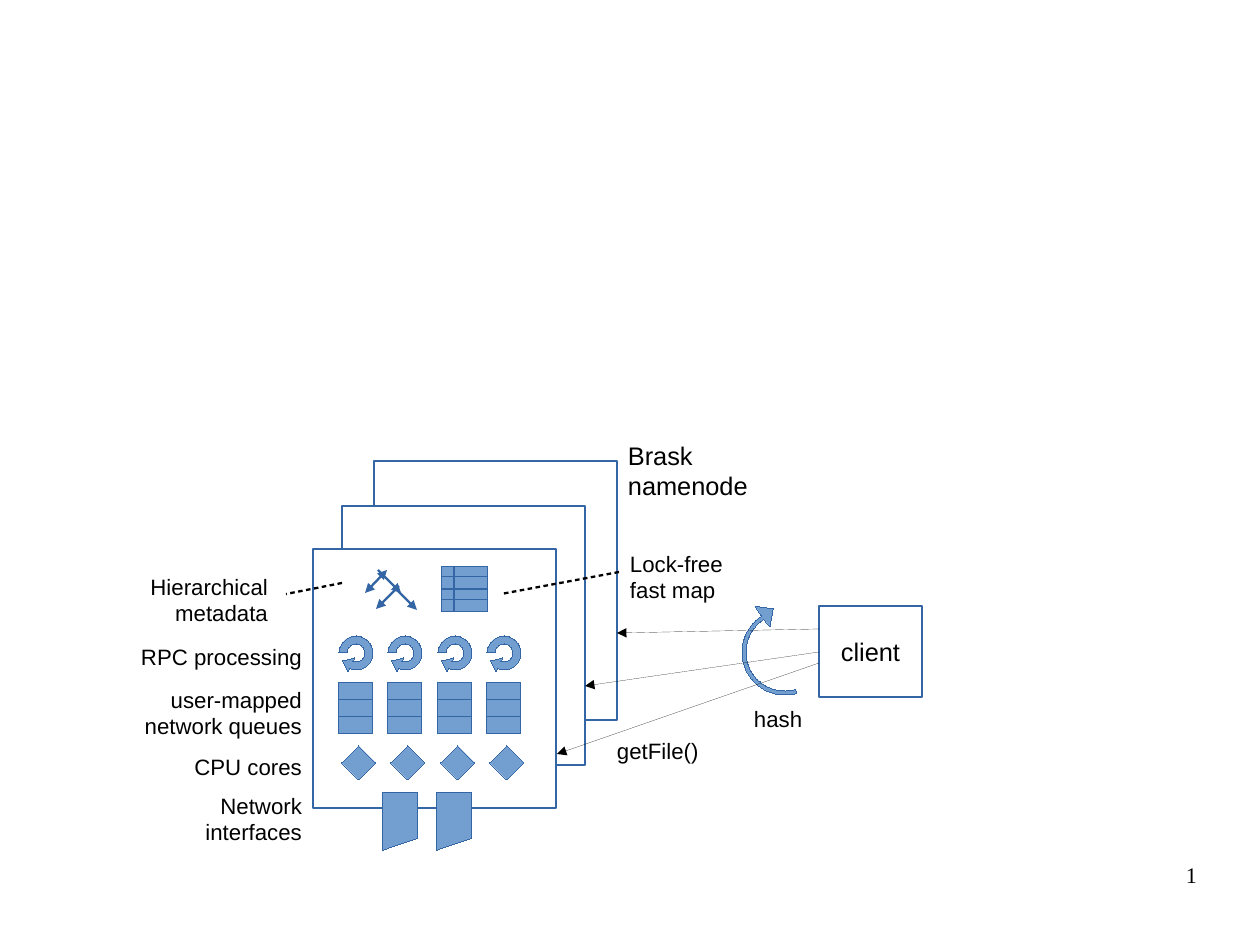
import math
import pptx
import pptx.util
import pptx.dml.color
import pptx.enum.shapes
import pptx.enum.text
import lxml.etree

UNIT = 8000
BLACK = pptx.dml.color.RGBColor(0, 0, 0)
WHITE = pptx.dml.color.RGBColor(255, 255, 255)
NAVY = pptx.dml.color.RGBColor(0x34, 0x65, 0xA4)
BLUE = pptx.dml.color.RGBColor(0x72, 0x9F, 0xCF)
KIND = pptx.enum.shapes.MSO_SHAPE
SIDE = pptx.enum.text.PP_ALIGN
THICK = pptx.util.Pt(1.45)
THIN = 1
name = pptx.oxml.ns.qn

deck = pptx.Presentation()
deck.slide_width = 1260 * UNIT
deck.slide_height = 945 * UNIT
slide = deck.slides.add_slide(deck.slide_layouts[6])
shapes = slide.shapes


def write(text, left, top, width, height, size=14, font="Arial", align=SIDE.LEFT,
          inset=(11, 6), anchor=pptx.enum.text.MSO_ANCHOR.TOP):
    box = shapes.add_textbox(left * UNIT, top * UNIT, width * UNIT, height * UNIT)
    frame = box.text_frame
    frame.word_wrap = True
    frame.vertical_anchor = anchor
    frame.margin_left = frame.margin_right = inset[0] * UNIT
    frame.margin_top = frame.margin_bottom = inset[1] * UNIT
    frame.text = text
    for para in frame.paragraphs:
        para.alignment = align
        para.font.size = pptx.util.Pt(size)
        para.font.name = font
        para.font.color.rgb = BLACK


def paint(shape, fill, width):
    shape.shadow.inherit = False
    shape.fill.solid()
    shape.fill.fore_color.rgb = fill
    shape.line.color.rgb = NAVY
    shape.line.width = width


nodes = [(374, 461, 243, 259), (342, 506, 243, 259), (313, 549, 243, 259)]
client = (819, 606, 103, 91)
parts = [(KIND.RECTANGLE, *spot, WHITE, THICK) for spot in nodes + [client]]
rings = [(785, 652, 39, 43, 74, 237, 2, [(-30, -46), (-12, -43), (-15, -25)])]
for core in range(4):
    left = 339 + 99 * core // 2
    parts.append((KIND.DIAMOND, left + 3, 746, 34, 34, BLUE, THIN))
    for row in range(3):
        parts.append((KIND.RECTANGLE, left, 683 + 17 * row, 34, 17, BLUE, THIN))
    rings.append((left + 17, 653, 9, 17, -180, 113, 4, [(-8, 19), (-13, 8), (-1, 5)]))
for left in (383, 437):
    parts.append((KIND.FLOWCHART_MANUAL_INPUT, left, 793, 34, 57, BLUE, THIN))
for row in range(4):
    parts.append((KIND.RECTANGLE, 442, 566 + 23 * row // 2, 46, 12, BLUE, THIN))

for kind, left, top, width, height, fill, stroke in parts:
    shape = shapes.add_shape(kind, left * UNIT, top * UNIT, width * UNIT, height * UNIT)
    paint(shape, fill, stroke)
    if kind == KIND.FLOWCHART_MANUAL_INPUT:
        shape.rotation = 180

for x, y, inner, outer, start, end, count, head in rings:
    trace = []
    for radius, first, last in [(inner, end, start), (outer, start, end)]:
        step = math.radians(last - first) / count
        reach = 4 / 3 * math.tan(step / 4)
        for turn in range(count + 1):
            angle = math.radians(first) + step * turn
            dx, dy = radius * math.cos(angle), radius * math.sin(angle)
            if turn > 0:
                trace.append((dx + reach * dy, dy - reach * dx))
            trace.append((dx, dy))
            if turn < count:
                trace.append((dx - reach * dy, dy + reach * dx))
    dots = [(100 * (x + dx), 100 * (y + dy)) for dx, dy in trace + head]
    pen = shapes.build_freeform(*dots[0], scale=UNIT / 100)
    pen.add_line_segments(dots[1:], close=True)
    ring = pen.convert_to_shape()
    paint(ring, BLUE, THIN)
    steps = list(ring._element.iter(name("a:lnTo")))
    for base in (0, 3 * count + 1):
        for first in range(base, base + 3 * count, 3):
            curve = lxml.etree.Element(name("a:cubicBezTo"))
            steps[first].addprevious(curve)
            for old in steps[first:first + 3]:
                curve.append(old[0])
                old.getparent().remove(old)

lines = [
    (819, 663, 557, 754, BLACK, THIN, ["tail"], False),
    (819, 629, 617, 633, BLACK, THIN, ["tail"], False),
    (819, 652, 585, 686, BLACK, THIN, ["tail"], False),
    (387, 570, 365, 593, NAVY, THICK, ["head", "tail"], False),
    (401, 593, 378, 570, NAVY, THICK, ["head"], False),
    (417, 610, 394, 587, NAVY, THICK, ["head"], False),
    (399, 586, 376, 609, NAVY, THICK, ["tail"], False),
    (454, 566, 454, 611, NAVY, THICK, [], False),
    (342, 583, 286, 594, BLACK, THICK, [], True),
    (619, 572, 501, 594, BLACK, THICK, [], True),
]
for *ends, color, width, tips, dash in lines:
    line = shapes.add_connector(pptx.enum.shapes.MSO_CONNECTOR.STRAIGHT,
                                *[end * UNIT for end in ends])
    line.line.color.rgb = color
    line.line.width = width
    props = line.line._get_or_add_ln()
    if dash:
        style = lxml.etree.SubElement(props, name("a:custDash"))
        lxml.etree.SubElement(style, name("a:ds"), d="200000", sp="150000")
    for tip in tips:
        lxml.etree.SubElement(props, name(f"a:{tip}End"), type="triangle")
    lxml.etree.SubElement(line._element.spPr, name("a:effectLst"))

write("client", *client, size=16, align=SIDE.CENTER,
      anchor=pptx.enum.text.MSO_ANCHOR.MIDDLE)
write("Brask\nnamenode", 617, 434, 243, 97, size=16)
write("1", 903, 861, 294, 65, font="Times New Roman", align=SIDE.RIGHT, inset=(0, 0))
for text, left, top, width, height in [
    ("CPU cores", 171, 747, 142, 37),
    ("Network interfaces", 171, 786, 142, 62),
    ("user-mapped network queues", 126, 680, 187, 62),
    ("RPC processing", 126, 637, 187, 37),
    ("Hierarchical metadata", 137, 567, 142, 62),
]:
    write(text, left, top, width, height, align=SIDE.RIGHT)
write("Lock-free fast map", 619, 544, 142, 62)
write("hash", 743, 699, 80, 37)
write("getFile()", 606, 731, 114, 37)

deck.save("out.pptx")
